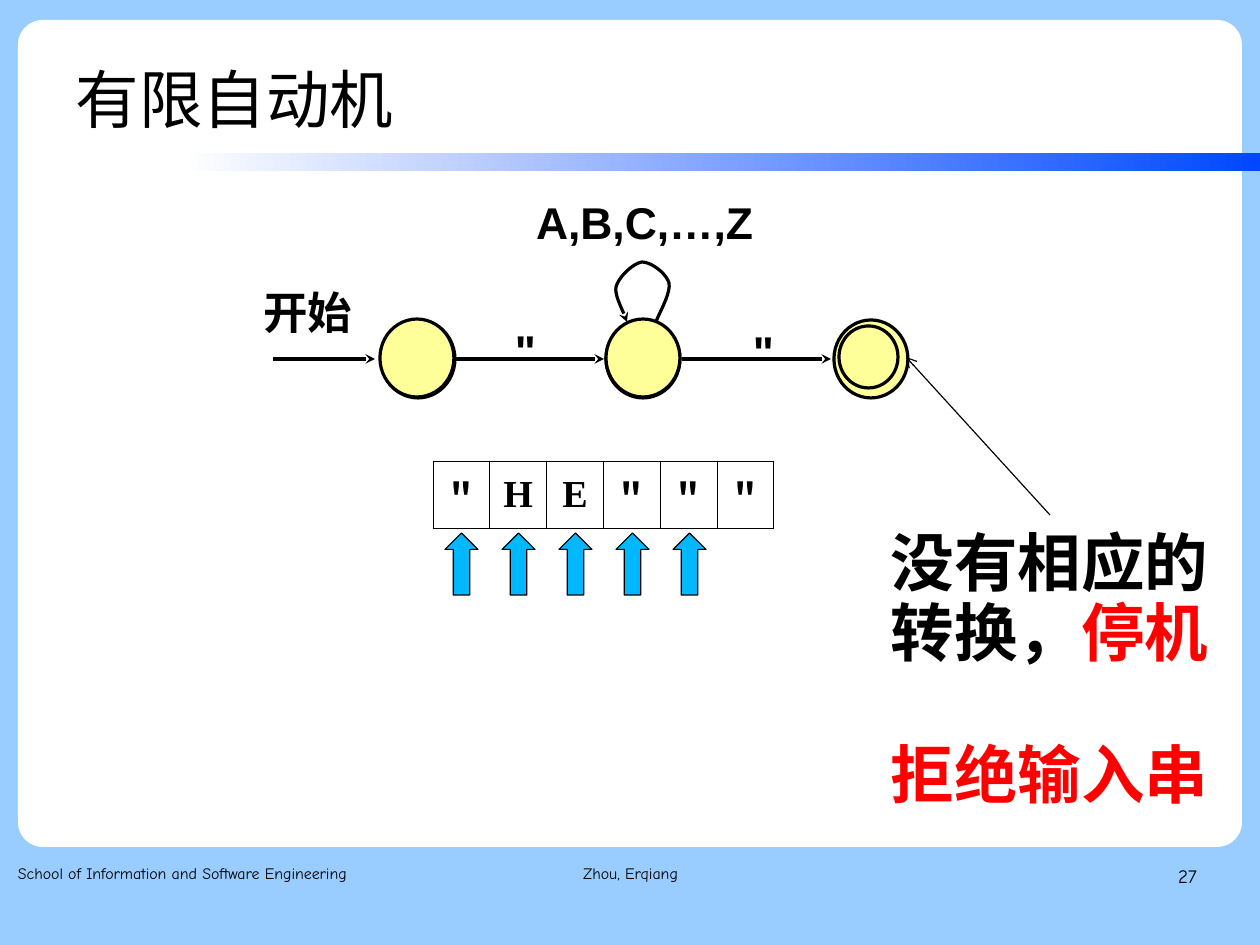
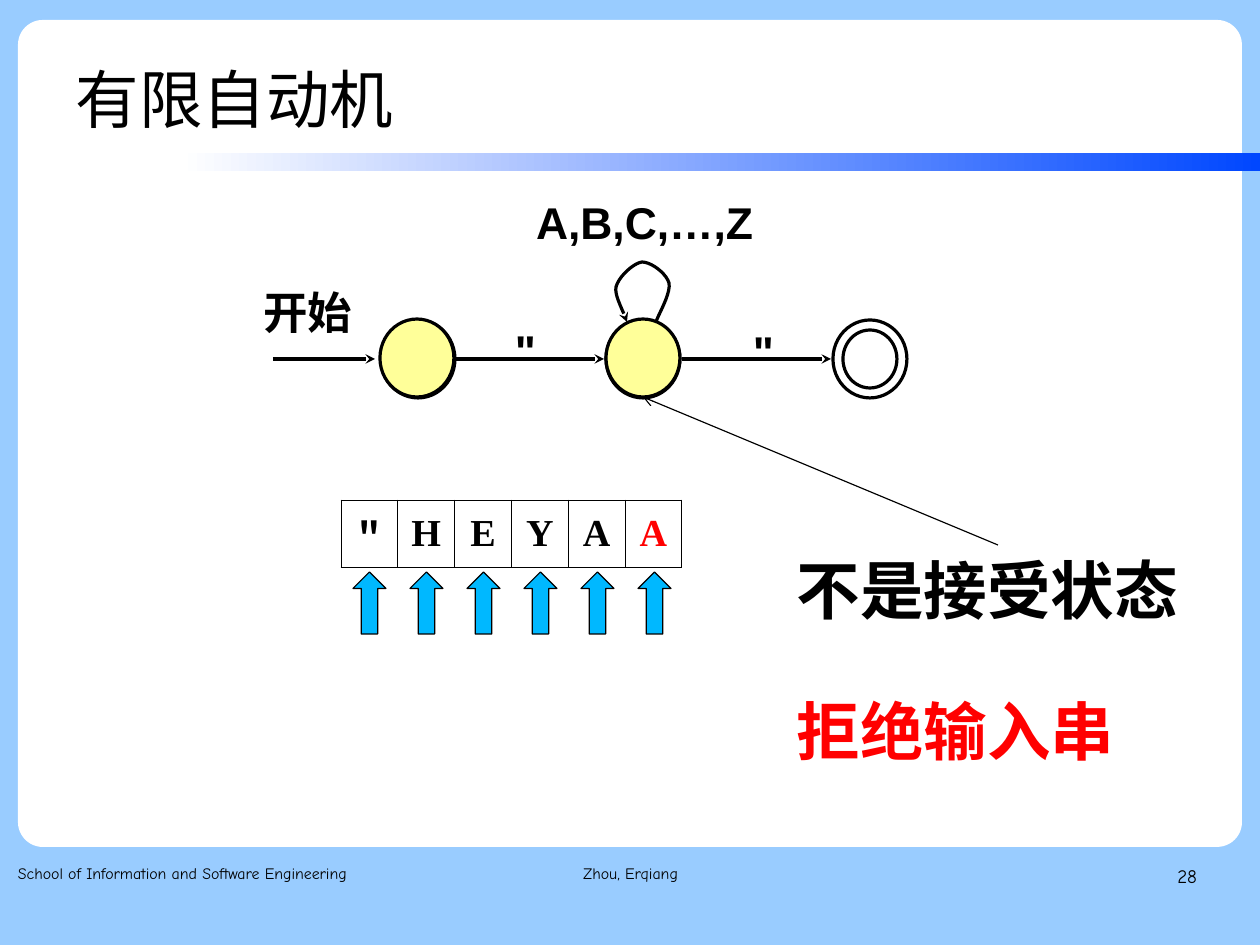
from lxml.etree import SubElement
from pptx import Presentation
from pptx.dml.color import RGBColor
from pptx.enum.shapes import MSO_CONNECTOR, MSO_SHAPE as SHAPE
from pptx.enum.text import MSO_ANCHOR as ANCHOR, PP_ALIGN as ALIGN
from pptx.oxml.ns import qn
from pptx.util import Pt

EMU_PER_PX = 8000
WIDTH, HEIGHT = 1260, 945
BLACK, WHITE, RED = "000000", "FFFFFF", "FF0000"
SKY, BLUE, ARROW_BLUE, YELLOW = "99CCFF", "0047FF", "00B8FF", "FFFF99"
CJK, SANS, SERIF, COMIC = "Noto Sans CJK SC", "Arial", "Times New Roman", "Comic Neue"
THICK, THIN, HAIR = 2, 0.75, 0.45

TITLE = dict(size=40, name=CJK)
LABEL = dict(size=28, name=SANS, bold=True)
CALLOUT = dict(size=40, name=CJK, bold=True)
FOOTER = dict(size=10, name=COMIC)
PAGE_NO = dict(size=12, name=COMIC)
CELL = dict(size=24, bold=True)

STATE_W, STATE_H = 74, 78
AXIS_Y = 359
ARROW_W, ARROW_H, ARROW_STEP = 33, 62, 57
LOOP_START = (656, 322)
LOOP_CURVES = [
    [(658, 315), (671, 294), (669, 283)],
    [(666, 273), (651, 262), (642, 262)],
    [(634, 263), (619, 276), (616, 287)],
    [(614, 296), (625, 314), (627, 322)],
]


def px(n):
    """Turn pixels into EMU."""
    return round(n * EMU_PER_PX)


def rgb(code):
    """Turn a hex string into a colour."""
    return RGBColor.from_string(code)


def bezier(start, curves, steps=10):
    """Return the points along a chain of cubic curves."""
    points = [start]
    for b, c, d in curves:
        a = points[-1]
        for i in range(1, steps + 1):
            t = i / steps
            u = 1 - t
            weights = u ** 3, 3 * u * u * t, 3 * u * t * t, t ** 3
            points.append(tuple(sum(w * q[k] for w, q in zip(weights, (a, b, c, d)))
                                for k in (0, 1)))
    return points


class Deck:
    """Holds the shared style and the current slide."""

    def __init__(self):
        """Start an empty deck."""
        self.prs = Presentation()
        self.prs.slide_width, self.prs.slide_height = px(WIDTH), px(HEIGHT)
        self.s = None

    def slide(self, title, number):
        """Add a slide with panel, band, title and footer."""
        self.s = self.prs.slides.add_slide(self.prs.slide_layouts[6])
        fill = self.s.background.fill
        fill.solid()
        fill.fore_color.rgb = rgb(SKY)
        panel = self.shape(SHAPE.ROUNDED_RECTANGLE, 18, 20, 1224, 827, WHITE)
        panel.adjustments[0] = 0.03
        band = self.shape(SHAPE.RECTANGLE, 180, 153, 1080, 18, WHITE)
        band.fill.gradient()
        band.fill.gradient_angle = 0
        for stop, position, color in zip(band.fill.gradient_stops, (0, 1), (WHITE, BLUE)):
            stop.position = position
            stop.color.rgb = rgb(color)
        self.text(63, 41, 981, 115, [[(title, BLACK)]], TITLE, inset=(13, 7),
                  anchor=ANCHOR.MIDDLE)
        footers = [
            (18, 386, "School of Information and Software Engineering", FOOTER, ALIGN.LEFT),
            (431, 399, "Zhou, Erqiang", FOOTER, ALIGN.CENTER),
            (903, 294, str(number), PAGE_NO, ALIGN.RIGHT),
        ]
        for x, w, words, style, align in footers:
            self.text(x, 861, w, 65, [[(words, BLACK)]], style, align, spacing=1.16)

    def outline(self, line, color, width, head=None):
        """Style a line and give its end an arrowhead."""
        line.color.rgb = rgb(color)
        line.width = Pt(width)
        if head:
            SubElement(line._get_or_add_ln(), qn("a:tailEnd"), type=head)

    def paint(self, sp, fill=None, width=0, head=None):
        """Set fill and line of a shape and drop its shadow."""
        sp.shadow.inherit = False
        if fill:
            sp.fill.solid()
            sp.fill.fore_color.rgb = rgb(fill)
        else:
            sp.fill.background()
        if width:
            self.outline(sp.line, BLACK, width, head)
        else:
            sp.line.fill.background()
        return sp

    def shape(self, kind, x, y, w, h, fill=None, width=0):
        """Add a preset shape."""
        sp = self.s.shapes.add_shape(kind, px(x), px(y), px(w), px(h))
        return self.paint(sp, fill, width)

    def run(self, p, words, color, style):
        """Add a run with its font."""
        r = p.add_run()
        r.text = words
        r.font.color.rgb = rgb(color)
        for key, value in style.items():
            setattr(r.font, key, Pt(value) if key == "size" else value)
        east = CJK if style["name"] == SANS else style["name"]
        SubElement(r._r.get_or_add_rPr(), qn("a:ea"), typeface=east)

    def text(self, x, y, w, h, paragraphs, style, align=ALIGN.LEFT, inset=(0, 0),
             anchor=ANCHOR.TOP, spacing=1.0, gap=0):
        """Add a text box; gap is the space between paragraphs in points."""
        tf = self.s.shapes.add_textbox(px(x), px(y), px(w), px(h)).text_frame
        dx, dy = map(px, inset)
        frame = dict(word_wrap=True, vertical_anchor=anchor, margin_left=dx,
                     margin_right=dx, margin_top=dy, margin_bottom=dy)
        for key, value in frame.items():
            setattr(tf, key, value)
        for i, runs in enumerate(paragraphs):
            p = tf.add_paragraph() if i else tf.paragraphs[0]
            p.alignment, p.line_spacing = align, spacing
            if i:
                p.space_before = Pt(gap)
            for words, color in runs:
                self.run(p, words, color, style)

    def line(self, start, end, width, head):
        """Add a straight line with an arrowhead at its end."""
        c = self.s.shapes.add_connector(MSO_CONNECTOR.STRAIGHT, *map(px, start + end))
        self.outline(c.line, BLACK, width, head)
        SubElement(c._element.spPr, qn("a:effectLst"))

    def curve(self, points):
        """Add an open curve that ends in an arrowhead."""
        (x, y), *rest = [(px(a), px(b)) for a, b in points]
        builder = self.s.shapes.build_freeform(x, y, scale=1.0)
        builder.add_line_segments(rest, close=False)
        self.paint(builder.convert_to_shape(), width=THICK, head="stealth")

    def state(self, x, fill=None, y=320, inset=0):
        """Add a state circle, shrunk by inset on every side."""
        self.shape(SHAPE.OVAL, x + inset, y + inset, STATE_W - 2 * inset,
                   STATE_H - 2 * inset, fill, THICK)

    def automaton(self):
        """Draw the states, transitions and labels common to both slides."""
        for x in (381, 606):
            self.state(x)
        for x1, x2 in ((273, 375), (455, 604), (682, 831)):
            self.line((x1, AXIS_Y), (x2, AXIS_Y), THICK, "stealth")
        self.text(256, 282, 120, 59, [[("开始", BLACK)]], LABEL, inset=(7, 3))
        for x, y in ((464, 325), (702, 326)):
            self.text(x, y, 123, 60, [[('"', BLACK)]], LABEL, ALIGN.CENTER, (7, 3),
                      spacing=0.93)
        self.text(529, 197, 303, 73, [[("A,B,C,…,Z", BLACK)]], LABEL, inset=(7, 3),
                  spacing=0.93)
        self.curve(bezier(LOOP_START, LOOP_CURVES))
        for x in (380, 606):
            self.state(x, YELLOW, y=319)

    def tape(self, x, y, symbols, read, rejected=None):
        """Add the input tape with an arrow under each symbol read."""
        n = len(symbols)
        table = self.s.shapes.add_table(1, n, px(x), px(y), px(341), px(67)).table
        table.first_row = table.horz_banding = False
        for i, symbol in enumerate(symbols):
            cell = table.cell(0, i)
            tc_pr = cell._tc.get_or_add_tcPr()
            for side in "LRTB":
                ln = SubElement(tc_pr, qn(f"a:ln{side}"), w=str(Pt(HAIR)))
                SubElement(SubElement(ln, qn("a:solidFill")), qn("a:srgbClr"), val=BLACK)
            cell.fill.solid()
            cell.fill.fore_color.rgb = rgb(WHITE)
            cell.vertical_anchor = ANCHOR.MIDDLE
            cell.margin_top = cell.margin_bottom = px(5)
            p = cell.text_frame.paragraphs[0]
            p.alignment = ALIGN.CENTER
            self.run(p, symbol, RED if i == rejected else BLACK,
                     dict(CELL, name=CJK if symbol == '"' else SERIF))
        for i in range(read):
            self.shape(SHAPE.UP_ARROW, x + 12 + i * ARROW_STEP, y + 72, ARROW_W, ARROW_H,
                       ARROW_BLUE, THIN)

    def callout(self, x, y, w, h, reason, start, end):
        """Explain the rejection and point at the state where it happens."""
        self.text(x, y, w, h, [reason, [("拒绝输入串", RED)]], CALLOUT, inset=(11, 6),
                  spacing=Pt(44.6), gap=44.6)
        self.line(start, end, THIN, "arrow")


deck = Deck()

deck.slide("有限自动机", 27)
deck.automaton()
deck.tape(433, 461, '"HE"""', read=5)
deck.state(834, YELLOW)
deck.shape(SHAPE.OVAL, 839, 326, 59, 62, YELLOW, THICK)
deck.callout(880, 522, 344, 295, [("没有相应的转换，", BLACK), ("停机", RED)],
             (1050, 515), (906, 357))

deck.slide("有限自动机", 28)
deck.automaton()
for inset in (0, 10):
    deck.state(833, inset=inset)
deck.tape(341, 500, '"HEYAA', read=6, rejected=5)
deck.callout(786, 550, 424, 224, [("不是接受状态", BLACK)], (998, 545), (643, 397))

deck.prs.save("out.pptx")
